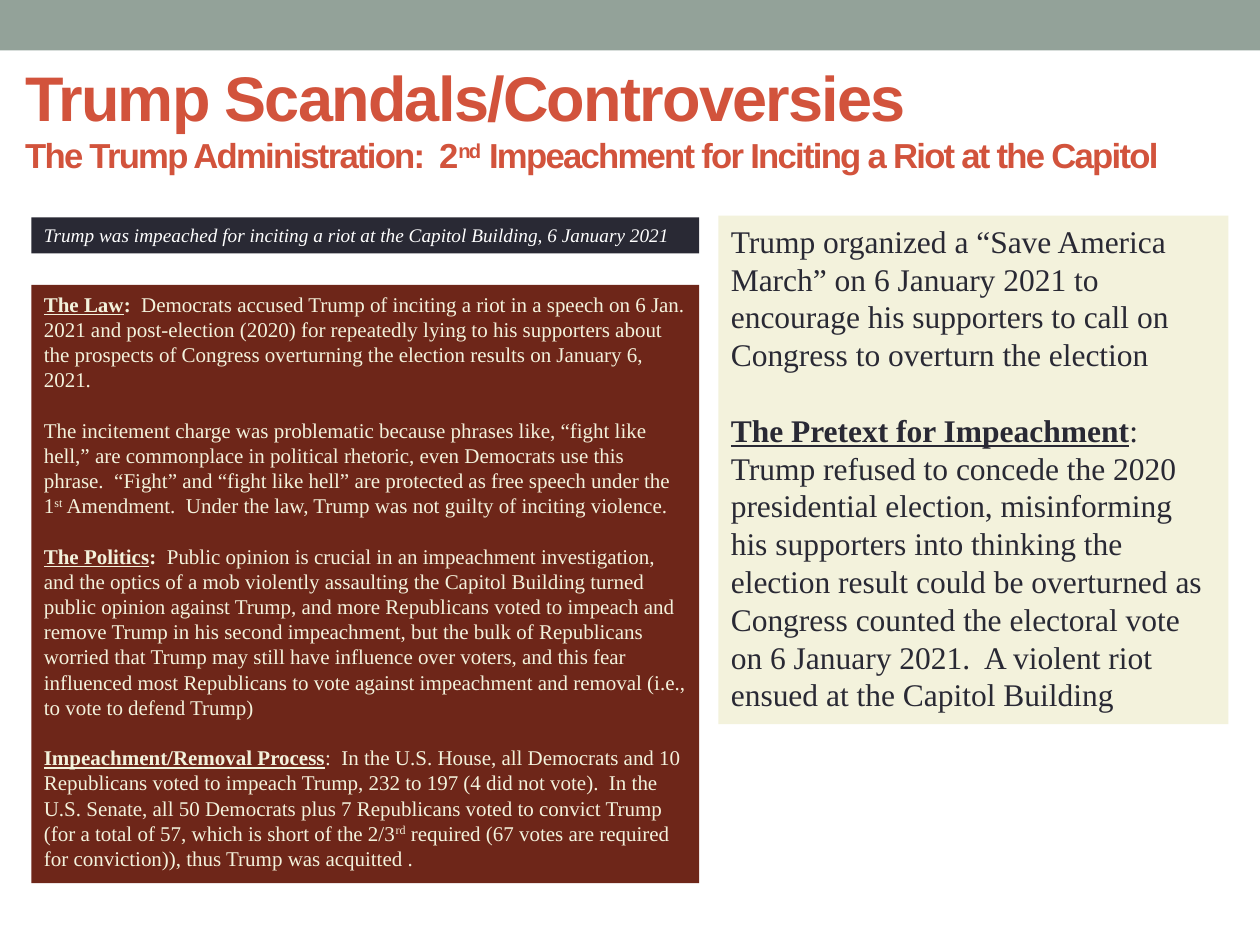
import pptx
import pptx.dml.color
import pptx.enum.shapes
import pptx.enum.text
import pptx.util

Pt = pptx.util.Pt
COLORS = {
    "band": "93A299",
    "title": "D2533C",
    "cream": "F3F2DC",
    "brick": "6E2619",
    "navy": "292934",
    "white": "FFFFFF",
}
TITLE_FONT = "Arial"
BODY_FONT = "Times New Roman"
LINE = 1.2  # line pitch as a multiple of the text size

# Paragraphs are lists of (text, marks): b bold, u underline, i italic, s superscript
CAPTION = [
    [("Trump was impeached for inciting a riot at the Capitol Building, 6 January 2021", "i")],
]
EVENTS = [
    [("Trump organized a “Save America March” on 6 January 2021 to encourage his "
      "supporters to call on Congress to overturn the election", "")],
    [("The Pretext for Impeachment", "bu"),
     (":  Trump refused to concede the 2020 presidential election, misinforming his "
      "supporters into thinking the election result could be overturned as Congress "
      "counted the electoral vote on 6 January 2021.  A violent riot ensued at the "
      "Capitol Building", "")],
]
ANALYSIS = [
    [("The Law", "bu"), (":", "b"),
     ("  Democrats accused Trump of inciting a riot in a speech on 6 Jan. 2021 and "
      "post-election (2020) for repeatedly lying to his supporters about the prospects "
      "of Congress overturning the election results on January 6, 2021.", "")],
    [("The incitement charge was problematic because phrases like, “fight like hell,” "
      "are commonplace in political rhetoric, even Democrats use this phrase.  “Fight” "
      "and “fight like hell” are protected as free speech under the 1", ""),
     ("st", "s"),
     (" Amendment.  Under the law, Trump was not guilty of inciting violence.", "")],
    [("The Politics", "bu"), (":", "b"),
     ("  Public opinion is crucial in an impeachment investigation, and the optics of a "
      "mob violently assaulting the Capitol Building turned public opinion against "
      "Trump, and more Republicans voted to impeach and remove Trump in his second "
      "impeachment, but the bulk of Republicans worried that Trump may still have "
      "influence over voters, and this fear influenced most Republicans to vote against "
      "impeachment and removal (i.e., to vote to defend Trump)", "")],
    [("Impeachment/Removal Process", "bu"),
     (":  In the U.S. House, all Democrats and 10 Republicans voted to impeach Trump, "
      "232 to 197 (4 did not vote).  In the U.S. Senate, all 50 Democrats plus 7 "
      "Republicans voted to convict Trump (for a total of 57, which is short of the 2/3", ""),
     ("rd", "s"),
     (" required (67 votes are required for conviction)), thus Trump was acquitted .", "")],
]


def rgb(name):
    return pptx.dml.color.RGBColor.from_string(COLORS[name])


class SlideBuilder:
    def __init__(self, s):
        self.s = s

    def rectangle(self, left, top, width, height, fill):
        sp = self.s.shapes.add_shape(
            pptx.enum.shapes.MSO_SHAPE.RECTANGLE, Pt(left), Pt(top), Pt(width), Pt(height))
        sp.shadow.inherit = False
        sp.fill.solid()
        sp.fill.fore_color.rgb = rgb(fill)
        sp.line.fill.background()
        return sp

    def run(self, p, text, marks=""):
        r = p.add_run()
        r.text = text
        if "b" in marks:
            r.font.bold = True
        if "u" in marks:
            r.font.underline = True
        if "i" in marks:
            r.font.italic = True
        if "s" in marks:
            r.font._element.set("baseline", "30000")
        return r

    def text_panel(self, box, fill, color, size, paragraphs):
        """Filled rectangle whose paragraphs stand one line apart."""
        tf = self.rectangle(*box, fill).text_frame
        tf.word_wrap = True
        tf.vertical_anchor = pptx.enum.text.MSO_ANCHOR.TOP
        for i, runs in enumerate(paragraphs):
            p = tf.add_paragraph() if i else tf.paragraphs[0]
            p.alignment = pptx.enum.text.PP_ALIGN.LEFT
            p.line_spacing = Pt(size * LINE)
            if i:
                p.space_before = Pt(size * LINE)
            p.font.name = BODY_FONT
            p.font.size = Pt(size)
            p.font.color.rgb = rgb(color)
            for text, marks in runs:
                self.run(p, text, marks)

    def title(self, box, heading, subtitle):
        sp = self.s.shapes.title
        sp.left, sp.top, sp.width, sp.height = map(Pt, box)
        tf = sp.text_frame
        tf.word_wrap = True
        tf.auto_size = pptx.enum.text.MSO_AUTO_SIZE.NONE
        tf.vertical_anchor = pptx.enum.text.MSO_ANCHOR.MIDDLE
        p = tf.paragraphs[0]
        p.alignment = pptx.enum.text.PP_ALIGN.LEFT
        p.font.name = TITLE_FONT
        p.font.bold = True
        p.font.color.rgb = rgb("title")
        runs = [self.run(p, heading)]
        p.add_line_break()
        runs += [self.run(p, text, marks) for text, marks in subtitle]
        for i, r in enumerate(runs):
            r.font.size = Pt(19.8 if i else 36)
            r.font._element.set("spc", "-100")


def main():
    prs = pptx.Presentation()
    prs.slide_width, prs.slide_height = Pt(720), Pt(540)
    slide = SlideBuilder(prs.slides.add_slide(prs.slide_layouts[5]))

    slide.rectangle(0, 0, 720, 28.8, "band")
    slide.title((7.2, 28, 690, 78), "Trump Scandals/Controversies", [
        ("The Trump Administration:  2", ""),
        ("nd", "s"),
        (" Impeachment for Inciting a Riot at the Capitol", ""),
    ])
    slide.text_panel((410.5, 123.2, 291.5, 290.6), "cream", "navy", 18, EVENTS)
    slide.text_panel((18, 162.8, 381.5, 341.9), "brick", "cream", 12, ANALYSIS)
    slide.text_panel((18, 124.2, 381.5, 20.6), "navy", "white", 11, CAPTION)

    prs.save("out.pptx")


if __name__ == "__main__":
    main()
